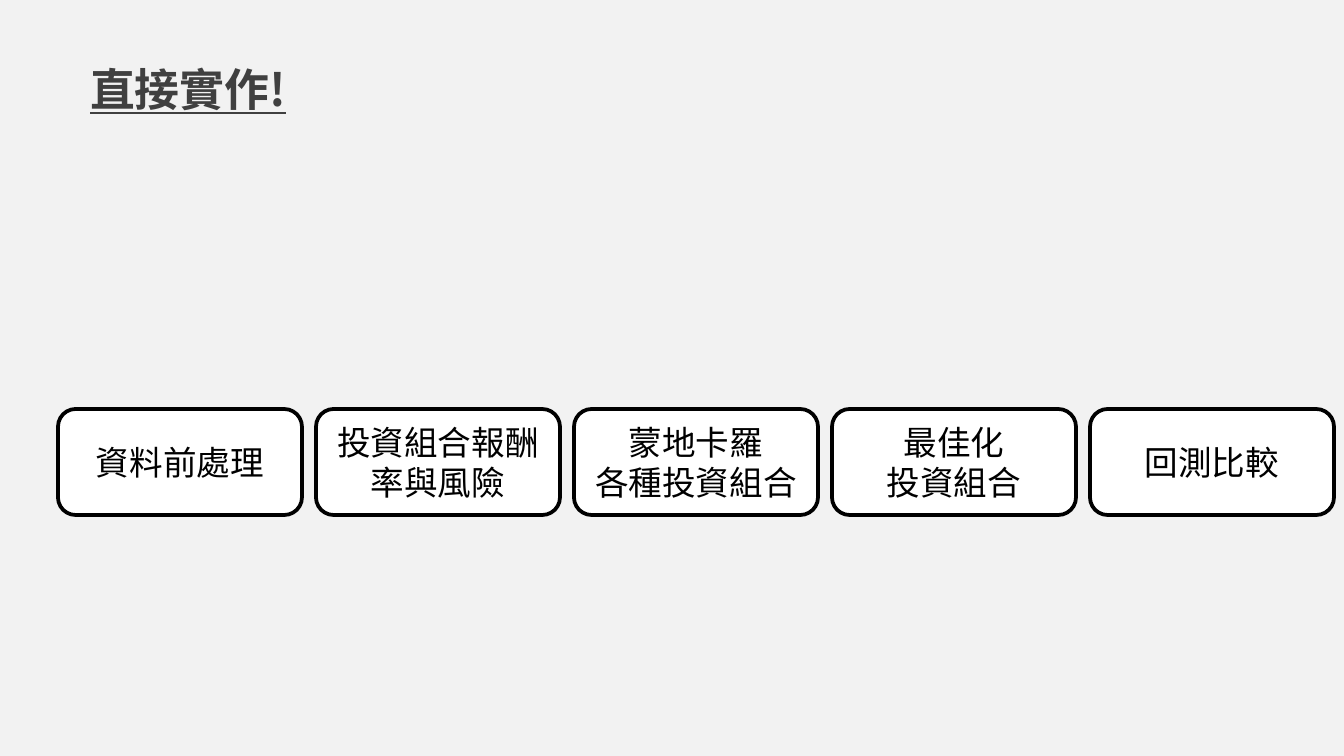
from pptx import Presentation
from pptx import util as u
from pptx.dml.color import RGBColor
from pptx.enum import shapes, text
from pptx.oxml.ns import qn
from lxml import etree

TITLE = "直接實作!"
STEPS = [
    ["資料前處理"],
    ["投資組合報酬率與風險"],
    ["蒙地卡羅", "各種投資組合"],
    ["最佳化", "投資組合"],
    ["回測比較"],
]
COLORS = {"page": "F2F2F2", "title": "404040", "box": "FFFFFF", "ink": "000000"}
TITLE_FONT, STEP_FONT = "Noto Sans CJK SC", "Calibri"
LEFT, TOP, WIDTH, HEIGHT, PITCH = 58, 409, 244, 106, 258


def px(length):
    return u.Emu(round(length * 914400 / 134.4))


def color(name):
    return RGBColor.from_string(COLORS[name])


def add_span(para, words, font, size, ink):
    span = para.add_run()
    span.text = words
    span.font.name = font
    span.font.size = u.Pt(size)
    span.font.color.rgb = color(ink)
    return span


def add_title(page):
    title = page.shapes.title
    title.left, title.top, title.width, title.height = px(90), px(60), px(678), px(57)
    frame = title.text_frame
    frame.margin_left = frame.margin_right = 0
    frame.vertical_anchor = text.MSO_ANCHOR.MIDDLE
    frame.word_wrap = True
    para = frame.paragraphs[0]
    para.alignment = text.PP_ALIGN.LEFT
    span = add_span(para, TITLE, TITLE_FONT, 24, "title")
    span.font.bold = span.font.underline = True
    east_asian = etree.SubElement(span.font._element, qn("a:ea"))
    east_asian.set("typeface", TITLE_FONT)


def add_step(page, index, lines):
    box = page.shapes.add_shape(
        shapes.MSO_SHAPE.ROUNDED_RECTANGLE,
        px(LEFT + index * PITCH), px(TOP), px(WIDTH), px(HEIGHT))
    box.shadow.inherit = False
    box.fill.solid()
    box.fill.fore_color.rgb = color("box")
    box.line.color.rgb = color("ink")
    box.line.width = u.Pt(2)
    frame = box.text_frame
    frame.word_wrap = True
    frame.vertical_anchor = text.MSO_ANCHOR.MIDDLE
    for number, line in enumerate(lines):
        para = frame.add_paragraph() if number else frame.paragraphs[0]
        para.alignment = text.PP_ALIGN.CENTER
        add_span(para, line, STEP_FONT, 18, "ink")


deck = Presentation()
deck.slide_width, deck.slide_height = px(1344), px(756)
page = deck.slides.add_slide(deck.slide_layouts[5])
page.background.fill.solid()
page.background.fill.fore_color.rgb = color("page")
add_title(page)
for index, lines in enumerate(STEPS):
    add_step(page, index, lines)
deck.save("out.pptx")
